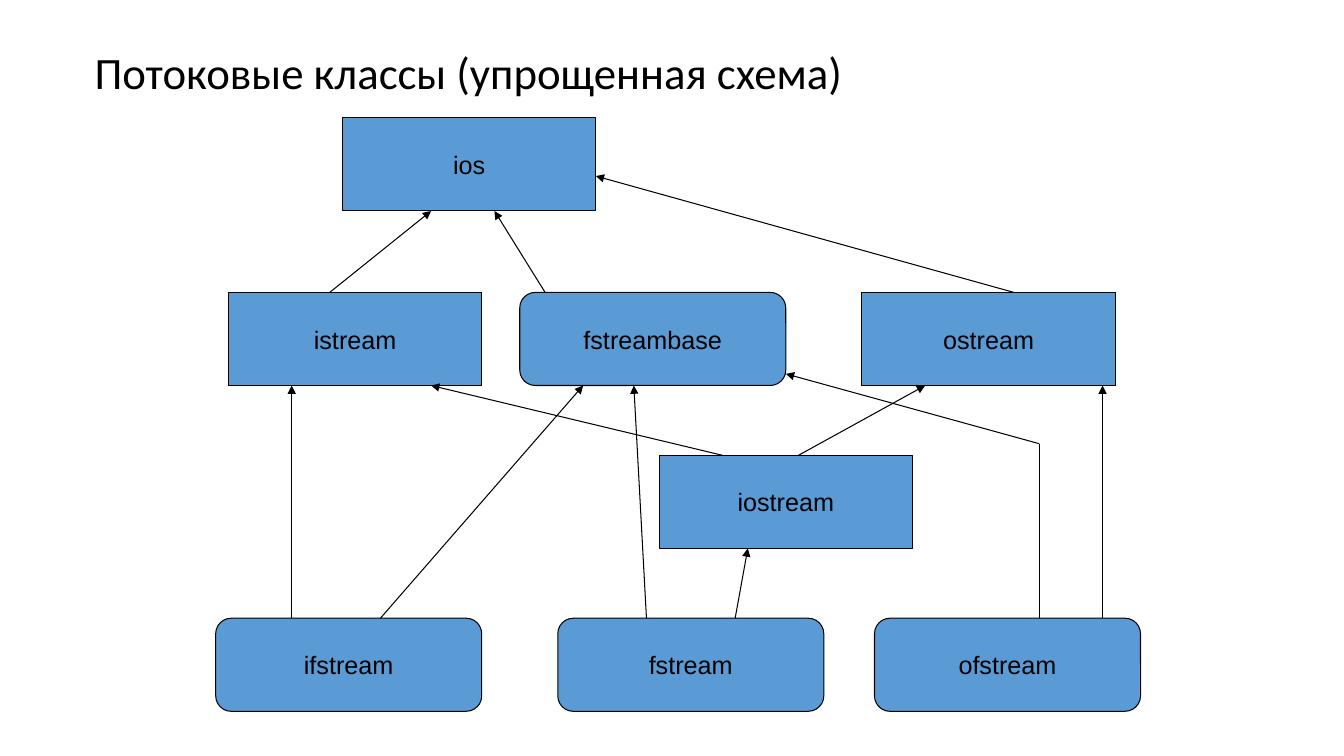
from pptx import Presentation
from pptx.dml.color import RGBColor
from pptx.enum import shapes, text
from pptx.oxml import ns
from pptx.util import Pt
from lxml import etree

BLUE = RGBColor(0x5B, 0x9B, 0xD5)
BLACK = RGBColor(0, 0, 0)

# The diagram lies on a grid of 73 columns by 51 rows.
COLUMNS, ROWS = 73, 51
BOX_HEIGHT = 8
STREAM_WIDTH, FILE_WIDTH = 20, 21

# name: (column, row, width); file classes are wider and rounded
CLASSES = {
    "ios": (10, 0, STREAM_WIDTH),
    "istream": (1, 15, STREAM_WIDTH),
    "ostream": (51, 15, STREAM_WIDTH),
    "iostream": (35, 29, STREAM_WIDTH),
    "fstreambase": (24, 15, FILE_WIDTH),
    "ifstream": (0, 43, FILE_WIDTH),
    "fstream": (27, 43, FILE_WIDTH),
    "ofstream": (52, 43, FILE_WIDTH),
}

# child, columns along its top edge, parent, (columns, rows) inside the parent
ARROWS = [
    ("istream", 8, "ios", (7, BOX_HEIGHT)),
    ("ostream", 12, "ios", (STREAM_WIDTH, 5)),
    ("fstreambase", 2, "ios", (12, BOX_HEIGHT)),
    ("iostream", 5, "istream", (16, BOX_HEIGHT)),
    ("iostream", 11, "ostream", (5, BOX_HEIGHT)),
    ("ifstream", 6, "istream", (5, BOX_HEIGHT)),
    ("ifstream", 13, "fstreambase", (5, BOX_HEIGHT)),
    ("fstream", 14, "iostream", (7, BOX_HEIGHT)),
    ("fstream", 7, "fstreambase", (9, BOX_HEIGHT)),
    ("ofstream", 18, "ostream", (19, BOX_HEIGHT)),
]
BEND_ROW = 28


def format_span(span, font, size):
    span.font.name = font
    span.font.size = Pt(size)
    span.font.color.rgb = BLACK


def add_title(page, left, top, width, height):
    frame = page.shapes.add_textbox(Pt(left), Pt(top), Pt(width), Pt(height)).text_frame
    frame.word_wrap = True
    frame.vertical_anchor = text.MSO_ANCHOR.MIDDLE
    frame.text = "Потоковые классы (упрощенная схема)"
    para = frame.paragraphs[0]
    para.line_spacing = 0.9
    format_span(para.runs[0], "Calibri", 32)


def add_class(page, name, left, top, width, height, rounded):
    preset = shapes.MSO_SHAPE.ROUNDED_RECTANGLE if rounded else shapes.MSO_SHAPE.RECTANGLE
    box = page.shapes.add_shape(preset, Pt(left), Pt(top), Pt(width), Pt(height))
    box.shadow.inherit = False
    box.fill.solid()
    box.fill.fore_color.rgb = BLUE
    box.line.color.rgb = BLACK
    box.line.width = Pt(0.75)
    frame = box.text_frame
    frame.word_wrap = False
    frame.vertical_anchor = text.MSO_ANCHOR.MIDDLE
    frame.text = name
    para = frame.paragraphs[0]
    para.alignment = text.PP_ALIGN.CENTER
    format_span(para.runs[0], "Arial", 18)


def add_line(page, start, end, arrow=True):
    line = page.shapes.add_connector(
        shapes.MSO_CONNECTOR.STRAIGHT, *(Pt(length) for length in start + end))
    line.line.color.rgb = BLACK
    line.line.width = Pt(0.75)
    if arrow:
        etree.SubElement(line.line._get_or_add_ln(), ns.qn("a:tailEnd"), type="triangle")
    etree.SubElement(line._element.spPr, ns.qn("a:effectLst"))


def add_hierarchy(page, left, top, width, height):
    """Draw the class boxes and the arrows from each child to its parent."""
    column_width, row_height = width / COLUMNS, height / ROWS

    def point(column, row):
        return left + column * column_width, top + row * row_height

    def inside(name, columns, rows=0):
        column, row, _ = CLASSES[name]
        return point(column + columns, row + rows)

    for name, (column, row, columns) in CLASSES.items():
        add_class(page, name, *point(column, row), columns * column_width,
                  BOX_HEIGHT * row_height, columns == FILE_WIDTH)

    for child, columns, parent, target in ARROWS:
        add_line(page, inside(child, columns), inside(parent, *target))

    bottom = inside("ofstream", 13)
    bend = bottom[0], top + BEND_ROW * row_height
    add_line(page, bend, inside("fstreambase", FILE_WIDTH, 7))
    add_line(page, bend, bottom, arrow=False)


def main():
    deck = Presentation()
    deck.slide_width, deck.slide_height = Pt(960), Pt(540)
    page = deck.slides.add_slide(deck.slide_layouts[6])
    add_title(page, 60.5, 23.4, 847.4, 60.5)
    add_hierarchy(page, 154.1, 84.2, 660.6, 423.9)
    deck.save("out.pptx")


if __name__ == "__main__":
    main()
